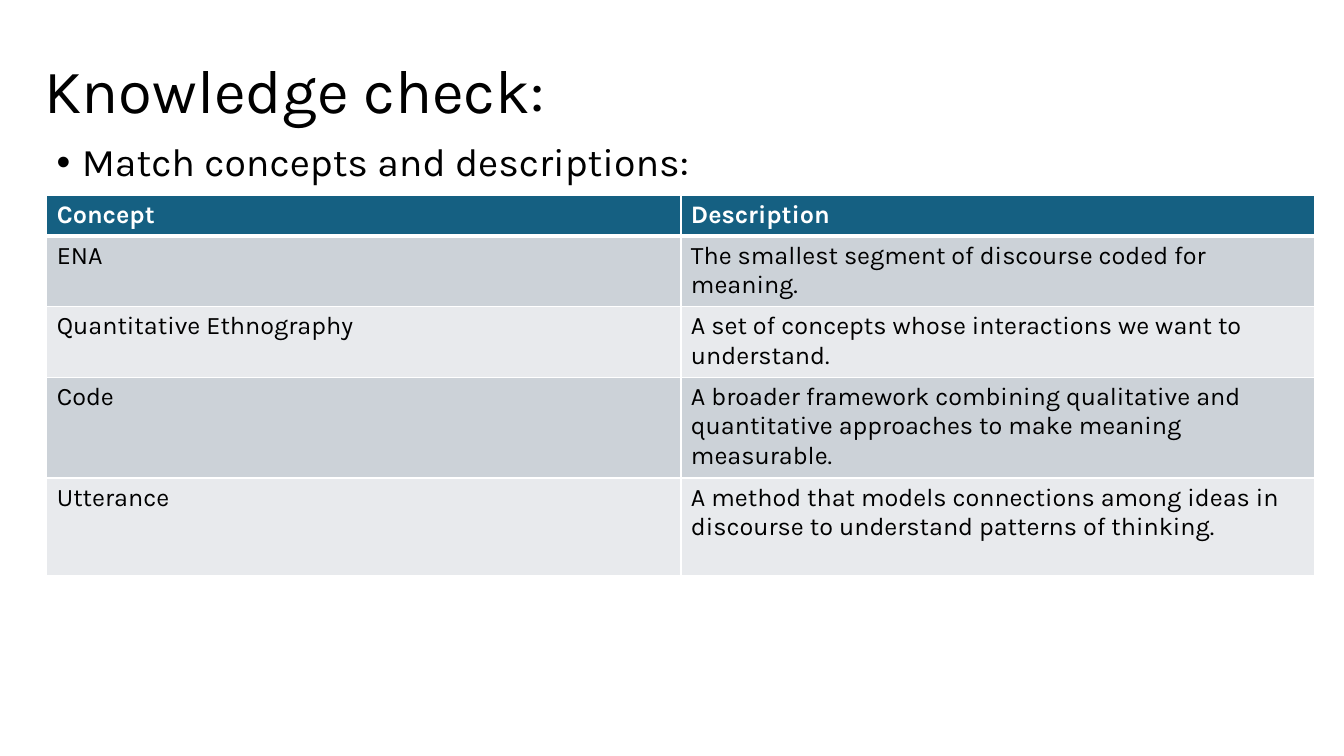
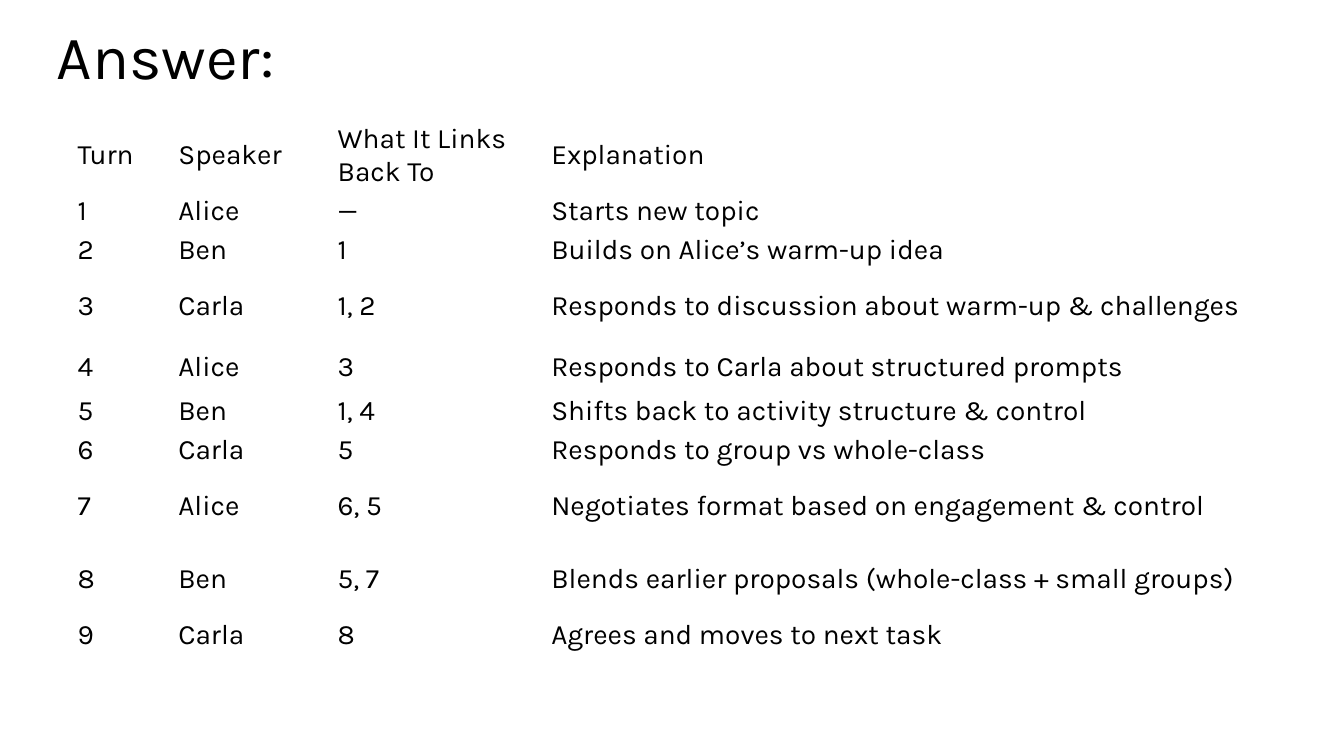
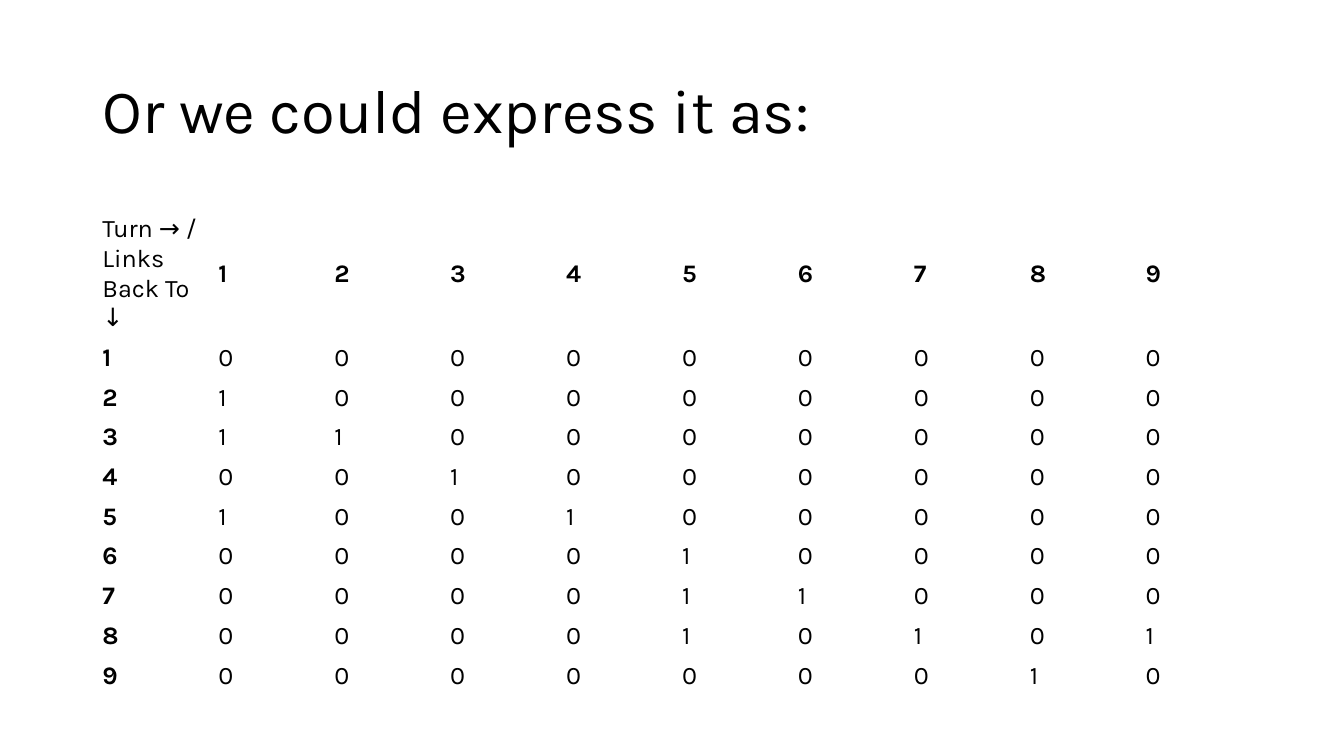
from lxml.etree import SubElement
from pptx import Presentation
from pptx.dml.color import RGBColor
from pptx.enum.text import MSO_ANCHOR, MSO_AUTO_SIZE, PP_ALIGN
from pptx.oxml.ns import qn
from pptx.util import Pt

FACE, INK, PAPER = "Karla", "000000", "FFFFFF"
HEAD, BANDS = "156082", ("CCD2D8", "E8EAED")


def tint(code):
    return RGBColor.from_string(code)


def put(item, **values):
    for name, value in values.items():
        setattr(item, name, value)


class Deck:
    """Hold the shared style and the current slide."""

    def __init__(self):
        self.show = Presentation()
        put(self.show, slide_width=Pt(960), slide_height=Pt(540))

    def start(self, text, left, top, high):
        self.slide = self.show.slides.add_slide(self.show.slide_layouts[5])
        title = self.slide.shapes.title
        put(title, left=Pt(left), top=Pt(top), width=Pt(828), height=Pt(high))
        put(title.text_frame, word_wrap=True, auto_size=MSO_AUTO_SIZE.NONE,
            vertical_anchor=MSO_ANCHOR.MIDDLE)
        self.label(title.text_frame, text, 44, space=0.9)

    def label(self, frame, text, size, color=INK, bold=False, space=1.0):
        line = frame.paragraphs[0]
        put(line, alignment=PP_ALIGN.LEFT, line_spacing=space)
        run = line.add_run()
        run.text = text
        put(run.font, name=FACE, size=Pt(size), bold=bold)
        run.font.color.rgb = tint(color)
        return line

    def bullet(self, text, left, top, wide, high):
        box = self.slide.shapes.add_textbox(Pt(left), Pt(top), Pt(wide), Pt(high))
        box.text_frame.word_wrap = True
        line = self.label(box.text_frame, text, 28, space=0.9)
        props = line._p.get_or_add_pPr()
        props.set("marL", str(Pt(18)))
        props.set("indent", str(Pt(-18)))
        SubElement(props, qn("a:buFont"), typeface="Arial")
        SubElement(props, qn("a:buChar"), char="•")

    def edge(self, cell, **widths):
        props = cell._tc.get_or_add_tcPr()
        for side, width in widths.items():
            line = SubElement(props, qn("a:ln" + side), w=str(Pt(width)))
            fill = SubElement(line, qn("a:solidFill"))
            SubElement(fill, qn("a:srgbClr"), val=PAPER)

    def table(self, data, left, top, wides, highs, size, style, **form):
        grid = self.slide.shapes.add_table(
            len(data), len(wides), Pt(left), Pt(top), Pt(sum(wides)), Pt(sum(highs))).table
        put(grid, first_row=False, horz_banding=False)
        for col, wide in zip(grid.columns, wides):
            col.width = Pt(wide)
        for row, high in zip(grid.rows, highs):
            row.height = Pt(high)
        for r, texts in enumerate(data):
            for c, text in enumerate(texts):
                cell = grid.cell(r, c)
                put(cell, **form)
                fill, color, bold = style(r, c)
                if fill:
                    self.edge(cell, L=1, R=1, T=3 if r == 1 else 1, B=1 if r else 3)
                    cell.fill.solid()
                    cell.fill.fore_color.rgb = tint(fill)
                else:
                    cell.fill.background()
                self.label(cell.text_frame, text, size, color, bold)


def banded(r, c):
    return (BANDS[(r - 1) % 2], INK, False) if r else (HEAD, PAPER, True)


def plain(r, c):
    return None, INK, False


def matrix(r, c):
    return None, INK, (r == 0) != (c == 0)


TERMS = [
    ("Concept", "Description"),
    ("ENA", "The smallest segment of discourse coded for meaning."),
    ("Quantitative Ethnography",
     "A set of concepts whose interactions we want to understand."),
    ("Code", "A broader framework combining qualitative and quantitative "
             "approaches to make meaning measurable."),
    ("Utterance", "A method that models connections among ideas in discourse "
                  "to understand patterns of thinking."),
]
TURNS = [
    ("—", "Starts new topic"),
    ("1", "Builds on Alice’s warm-up idea"),
    ("1, 2", "Responds to discussion about warm-up & challenges"),
    ("3", "Responds to Carla about structured prompts"),
    ("1, 4", "Shifts back to activity structure & control"),
    ("5", "Responds to group vs whole-class"),
    ("6, 5", "Negotiates format based on engagement & control"),
    ("5, 7", "Blends earlier proposals (whole-class + small groups)"),
    ("8", "Agrees and moves to next task"),
]
NAMES = ("Alice", "Ben", "Carla")
LINKS = {2: [1], 3: [1, 2], 4: [3], 5: [1, 4], 6: [5], 7: [5, 6], 8: [5, 7, 9], 9: [8]}


def main():
    deck = Deck()

    deck.start("Knowledge check:", 24.5, 14.4, 104.4)
    deck.bullet("Match concepts and descriptions:", 33.4, 98.6, 828, 342.7)
    deck.table(TERMS, 33.4, 139.7, [453] * 2, [28, 49, 49, 71, 70], 18, banded)

    deck.start("Answer:", 33.4, 14.4, 56)
    turns = [("Turn", "Speaker", "What It Links Back To", "Explanation")]
    turns += [(str(i + 1), NAMES[i % 3], *rest) for i, rest in enumerate(TURNS)]
    deck.table(turns, 50.4, 85, [72, 113.8, 152.6, 514],
               [52, 28, 28, 52, 34.5, 28, 28, 52, 52, 28], 20, plain,
               vertical_anchor=MSO_ANCHOR.MIDDLE, margin_left=Pt(5),
               margin_right=Pt(5), margin_top=Pt(2), margin_bottom=Pt(2))

    deck.start("Or we could express it as:", 66, 28.8, 104.4)
    span = range(1, 10)
    links = [["Turn → / Links Back To ↓", *map(str, span)]]
    links += [[str(r), *(str(int(c in LINKS.get(r, []))) for c in span)] for r in span]
    deck.table(links, 66, 149.8, [82.8] * 10, [91] + [28.4] * 9, 18, matrix,
               vertical_anchor=MSO_ANCHOR.MIDDLE)

    deck.show.save("out.pptx")


if __name__ == "__main__":
    main()
